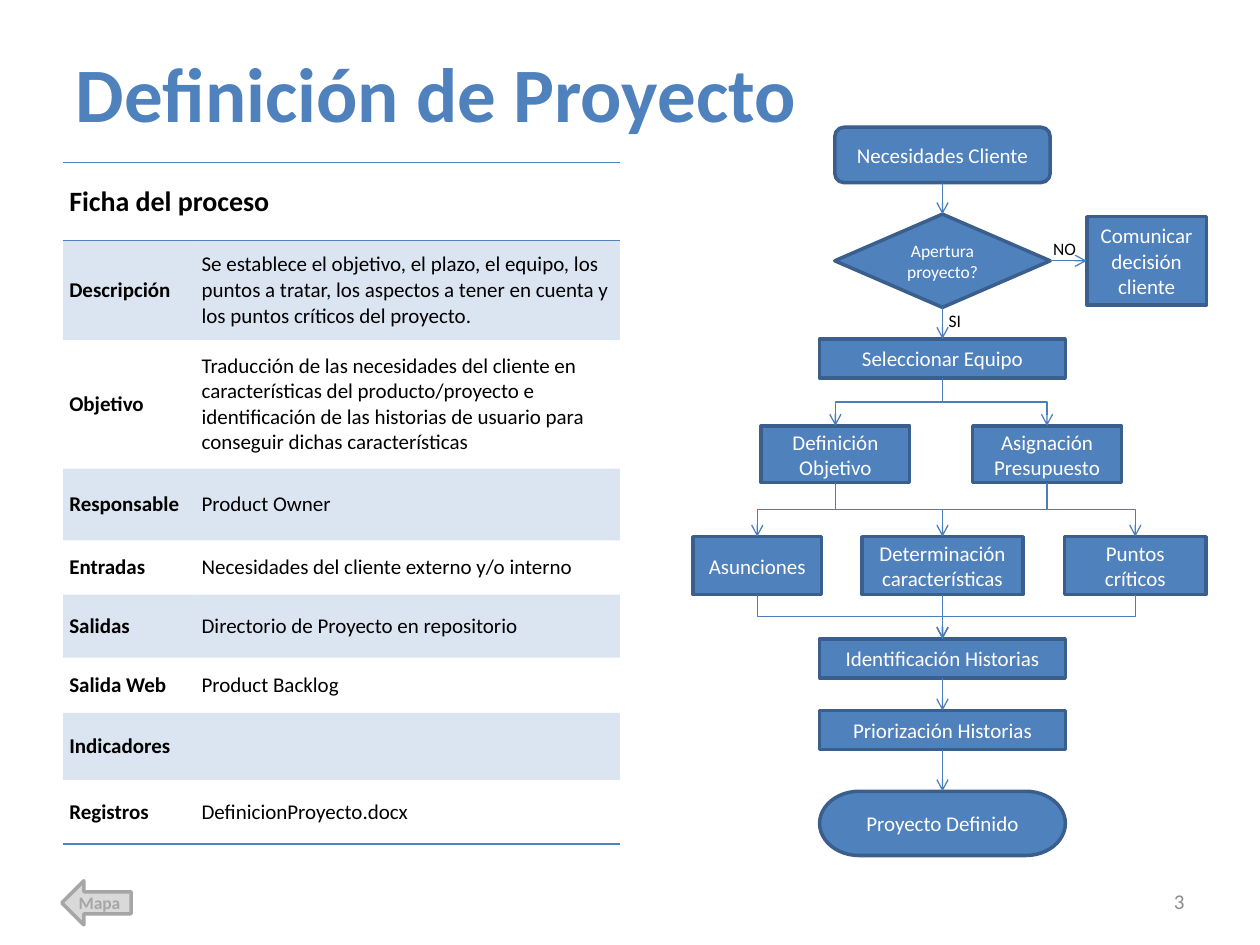
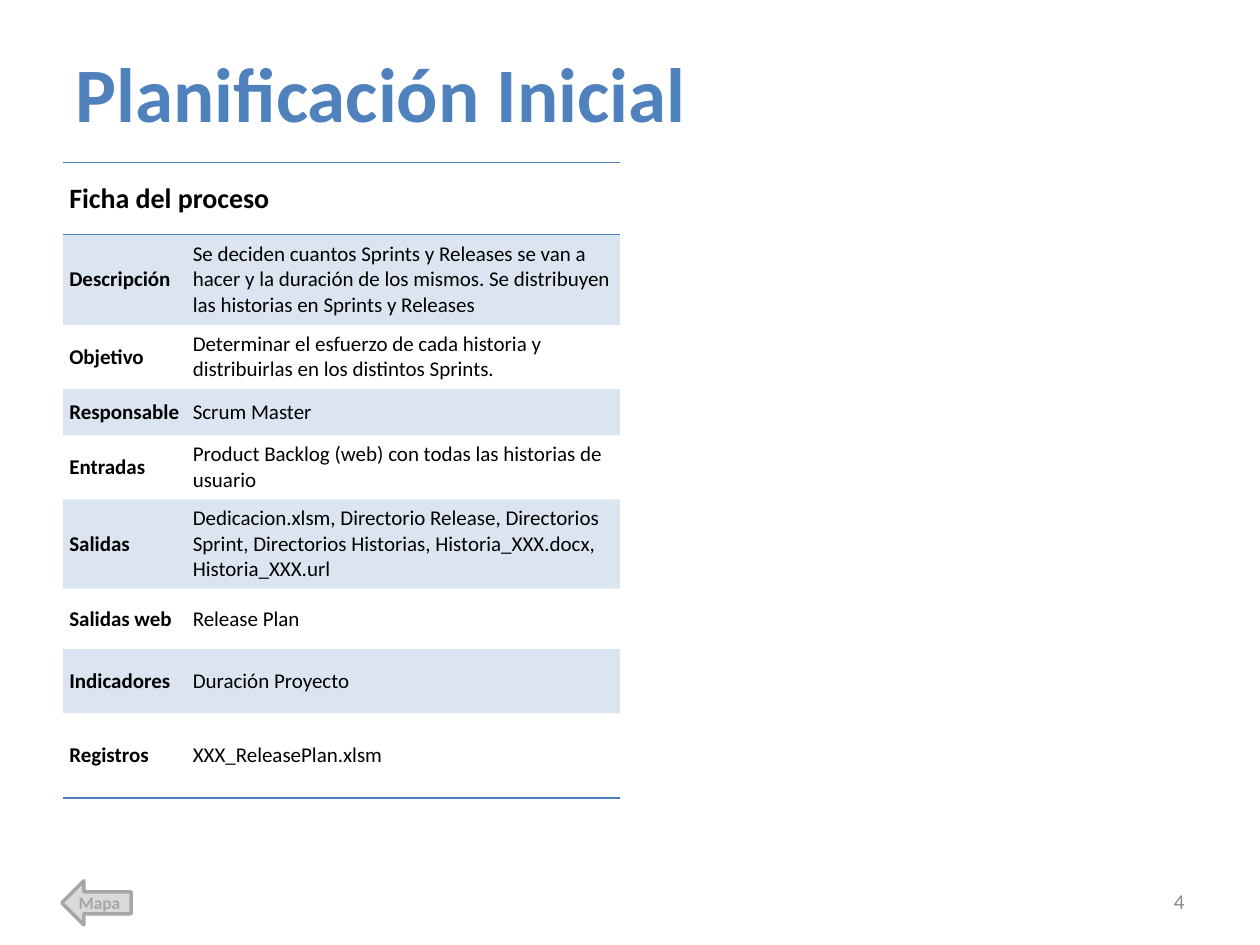
from dataclasses import dataclass
from lxml.etree import SubElement
from pptx import Presentation
from pptx.dml.color import RGBColor
from pptx.enum.shapes import MSO_CONNECTOR, MSO_SHAPE
from pptx.enum.text import MSO_ANCHOR, MSO_AUTO_SIZE, PP_ALIGN
from pptx.oxml.ns import qn
from pptx.util import Inches, Pt


@dataclass(frozen=True)
class Theme:
    font: str = "Calibri"
    accent: str = "4F81BD"
    outline: str = "3A5F8C"
    arrow: str = "4B7EBC"
    ink: str = "000000"
    paper: str = "FFFFFF"
    page: str = "8C8C8C"
    back_fill: str = "D9D9D9"
    back_line: str = "A6A6A6"
    title_size: int = 44
    heading_size: int = 16
    body_size: int = 12
    small_size: int = 10
    band_alpha: int = 20000
    table_style: str = "{2D5ABB26-0587-4C30-8999-92F81FD0307C}"


theme = Theme()


def write(frame, text, size, color, bold=False, align=PP_ALIGN.LEFT):
    paragraph = frame.paragraphs[0]
    paragraph.alignment = align
    frame.vertical_anchor = MSO_ANCHOR.MIDDLE
    run = paragraph.add_run()
    run.text = text
    run.font.name = theme.font
    run.font.size = Pt(size)
    run.font.bold = bold
    run.font.color.rgb = RGBColor.from_string(color)


def draw_block(shapes, preset, box, fill, outline):
    block = shapes.add_shape(preset, *map(Inches, box))
    block.shadow.inherit = False
    block.fill.solid()
    block.fill.fore_color.rgb = RGBColor.from_string(fill)
    block.line.color.rgb = RGBColor.from_string(outline)
    block.line.width = Pt(2)
    return block


process_sheets = [
    {
        "title": "Definición de Proyecto",
        "page": "3",
        "columns": [1.05, 3.37],
        "heights": [0.62, 0.79, 1.02, 0.57, 0.43, 0.5, 0.44, 0.53, 0.51],
        "rows": [
            ("Descripción", "Se establece el objetivo, el plazo, el equipo, los puntos a tratar, "
             "los aspectos a tener en cuenta y los puntos críticos del proyecto."),
            ("Objetivo", "Traducción de las necesidades del cliente en características del "
             "producto/proyecto e identificación de las historias de usuario para conseguir "
             "dichas características"),
            ("Responsable", "Product Owner"),
            ("Entradas", "Necesidades del cliente externo y/o interno"),
            ("Salidas", "Directorio de Proyecto en repositorio"),
            ("Salida Web", "Product Backlog"),
            ("Indicadores", ""),
            ("Registros", "DefinicionProyecto.docx"),
        ],
    },
    {
        "title": "Planificación Inicial",
        "page": "4",
        "columns": [0.98, 3.44],
        "heights": [0.57, 0.72, 0.49, 0.37, 0.49, 0.68, 0.48, 0.51, 0.67],
        "rows": [
            ("Descripción", "Se deciden cuantos Sprints y Releases se van a hacer y la duración "
             "de los mismos. Se distribuyen las historias en Sprints y Releases"),
            ("Objetivo", "Determinar el esfuerzo de cada historia y distribuirlas en los "
             "distintos Sprints."),
            ("Responsable", "Scrum Master"),
            ("Entradas", "Product Backlog (web) con todas las historias de usuario"),
            ("Salidas", "Dedicacion.xlsm, Directorio Release, Directorios Sprint, Directorios "
             "Historias, Historia_XXX.docx, Historia_XXX.url"),
            ("Salidas web", "Release Plan"),
            ("Indicadores", "Duración Proyecto"),
            ("Registros", "XXX_ReleasePlan.xlsm"),
        ],
    },
]

prs = Presentation()
prs.slide_width, prs.slide_height = Inches(10), Inches(7.5)
layout = prs.slide_layouts[5]
layout_title = layout.placeholders[0]
layout_title.left, layout_title.top = Inches(0.5), Inches(0.3)
layout_title.width, layout_title.height = Inches(9), Inches(0.86)

for sheet in process_sheets:
    slide = prs.slides.add_slide(layout)
    heading = slide.shapes.title.text_frame
    heading.auto_size = MSO_AUTO_SIZE.NONE
    write(heading, sheet["title"], theme.title_size, theme.accent, True)

    card = slide.shapes.add_table(
        len(sheet["heights"]), 2, Inches(0.5), Inches(1.29),
        Inches(sum(sheet["columns"])), Inches(sum(sheet["heights"]))).table
    card._tbl.tblPr.find(qn("a:tableStyleId")).text = theme.table_style
    for column, width in zip(card.columns, sheet["columns"]):
        column.width = Inches(width)
    card.cell(0, 0).merge(card.cell(0, 1))
    last_row = len(sheet["rows"])
    for row, texts in enumerate([("Ficha del proceso", "")] + sheet["rows"]):
        card.rows[row].height = Inches(sheet["heights"][row])
        edges = {0: ("a:lnT", "a:lnB"), last_row: ("a:lnB",)}.get(row, ())
        for col, text in enumerate(texts):
            cell = card.cell(row, col)
            cell.margin_left = cell.margin_right = Inches(0.05)
            cell.margin_top = cell.margin_bottom = Inches(0.05)
            cell.vertical_anchor = MSO_ANCHOR.MIDDLE
            for edge in edges:
                border = SubElement(cell._tc.get_or_add_tcPr(), qn(edge), w=str(Pt(1)))
                SubElement(SubElement(border, qn("a:solidFill")), qn("a:srgbClr"), val=theme.accent)
            if row % 2:
                cell.fill.solid()
                cell.fill.fore_color.rgb = RGBColor.from_string(theme.accent)
                tint = cell._tc.tcPr.find(qn("a:solidFill")).find(qn("a:srgbClr"))
                SubElement(tint, qn("a:alpha"), val=str(theme.band_alpha))
            else:
                cell.fill.background()
            if text:
                size = theme.body_size if row else theme.heading_size
                write(cell.text_frame, text, size, theme.ink, col == 0)

    page_number = slide.shapes.add_textbox(Inches(7.17), Inches(6.95), Inches(2.33), Inches(0.4))
    page_number.text_frame.word_wrap = True
    write(page_number.text_frame, sheet["page"], theme.body_size, theme.page, align=PP_ALIGN.RIGHT)

flow = prs.slides[0].shapes

map_button = draw_block(flow, MSO_SHAPE.LEFT_ARROW, (0.49, 6.99, 0.55, 0.35),
                        theme.back_fill, theme.back_line)
map_label = map_button.text_frame
map_label.margin_left = map_label.margin_top = Inches(0.04)
map_label.margin_right, map_label.margin_bottom = Inches(0.08), Inches(0.05)
map_label.word_wrap = False
write(map_label, "Mapa", theme.small_size, theme.back_line, True, PP_ALIGN.CENTER)
layout.shapes._spTree.append(map_button._element)

axis = 7.48
steps = {
    "needs": ("Necesidades Cliente", MSO_SHAPE.ROUNDED_RECTANGLE, axis, 1.01, 1.71, 0.44),
    "opening": ("Apertura proyecto?", MSO_SHAPE.DIAMOND, axis, 1.7, 1.71, 0.74),
    "reject": ("Comunicar decisión cliente", MSO_SHAPE.RECTANGLE, 9.1, 1.72, 0.95, 0.7),
    "team": ("Seleccionar Equipo", MSO_SHAPE.RECTANGLE, axis, 2.69, 1.95, 0.31),
    "goal": ("Definición Objetivo", MSO_SHAPE.RECTANGLE, 6.63, 3.38, 1.18, 0.45),
    "budget": ("Asignación Presupuesto", MSO_SHAPE.RECTANGLE, 8.31, 3.38, 1.18, 0.45),
    "assumptions": ("Asunciones", MSO_SHAPE.RECTANGLE, 6.01, 4.26, 1.02, 0.46),
    "features": ("Determinación características", MSO_SHAPE.RECTANGLE, axis, 4.26, 1.28, 0.46),
    "critical": ("Puntos críticos", MSO_SHAPE.RECTANGLE, 9.01, 4.26, 1.12, 0.46),
    "stories": ("Identificación Historias", MSO_SHAPE.RECTANGLE, axis, 5.07, 1.95, 0.31),
    "priorities": ("Priorización Historias", MSO_SHAPE.RECTANGLE, axis, 5.64, 1.95, 0.31),
    "defined": ("Proyecto Definido", MSO_SHAPE.FLOWCHART_TERMINATOR, axis, 6.28, 1.95, 0.51),
}
blocks = {}
for step, (text, preset, center, top, width, height) in steps.items():
    block = draw_block(flow, preset, (center - width / 2, top, width, height),
                       theme.accent, theme.outline)
    size = theme.small_size if step == "opening" else theme.body_size
    write(block.text_frame, text, size, theme.paper, align=PP_ALIGN.CENTER)
    blocks[step] = block

TOP, LEFT, BOTTOM, RIGHT = range(4)
links = [
    ("needs", "opening"), ("opening", "team"), ("opening", "reject"),
    ("team", "goal"), ("team", "budget"),
    ("goal", "assumptions"), ("goal", "critical"), ("budget", "features"),
    ("assumptions", "stories"), ("features", "stories"), ("critical", "stories"),
    ("stories", "priorities"), ("priorities", "defined"),
]
for source, target in links:
    sideways = target == "reject"
    bent = not sideways and steps[source][2] != steps[target][2]
    kind = MSO_CONNECTOR.ELBOW if bent else MSO_CONNECTOR.STRAIGHT
    link = flow.add_connector(kind, 0, 0, 0, 0)
    link.begin_connect(blocks[source], RIGHT if sideways else BOTTOM)
    link.end_connect(blocks[target], LEFT if sideways else TOP)
    if bent:
        run_x, run_y = link.end_x - link.begin_x, link.end_y - link.begin_y
        middle_x = (link.begin_x + link.end_x) // 2
        middle_y = (link.begin_y + link.end_y) // 2
        link.width, link.height = run_y, abs(run_x)
        link.left, link.top = middle_x - run_y // 2, middle_y - abs(run_x) // 2
        turn = link._element.spPr.find(qn("a:xfrm"))
        turn.set("rot", "16200000" if run_x > 0 else "5400000")
        turn.set("flipH", "1" if run_x > 0 else "0")
    link.line.color.rgb = RGBColor.from_string(theme.arrow)
    link.line.width = Pt(0.75)
    SubElement(link.line._get_or_add_ln(), qn("a:tailEnd"), type="arrow")
    SubElement(link._element.spPr, qn("a:effectLst"))

for answer, left, top, width in [("SI", 7.43, 2.41, 0.3), ("NO", 8.26, 1.84, 0.39)]:
    branch = flow.add_textbox(Inches(left), Inches(top), Inches(width), Inches(0.27))
    branch.text_frame.word_wrap = False
    write(branch.text_frame, answer, theme.small_size, theme.ink)

prs.save("out.pptx")
